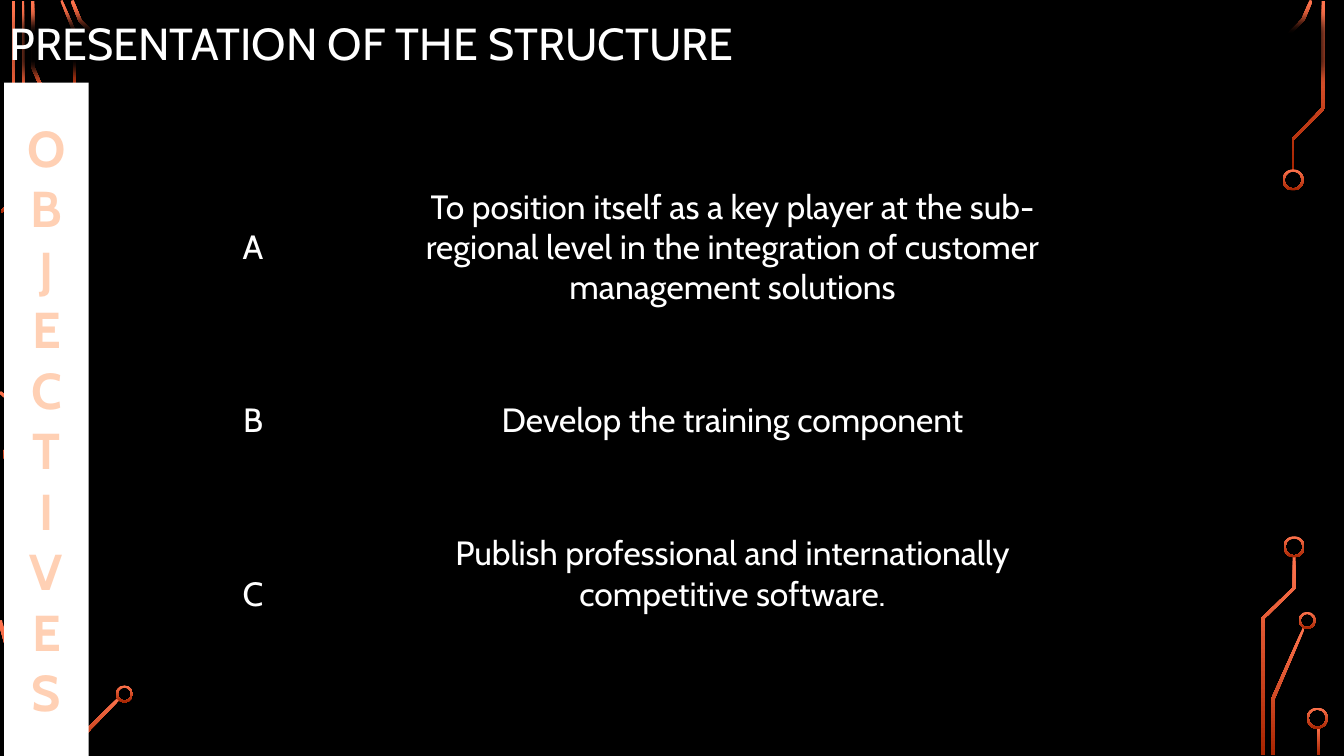
from dataclasses import dataclass

from lxml.etree import SubElement
from pptx import Presentation
from pptx.dml.color import RGBColor
from pptx.enum.shapes import MSO_SHAPE
from pptx.enum.text import MSO_ANCHOR, PP_ALIGN
from pptx.oxml.ns import qn
from pptx.util import Inches, Pt


@dataclass(frozen=True)
class Theme:
    font: str = "Cabin"
    black: RGBColor = RGBColor(0x00, 0x00, 0x00)
    white: RGBColor = RGBColor(0xFF, 0xFF, 0xFF)
    peach: RGBColor = RGBColor(0xFF, 0xD0, 0xB4)
    trace_top: RGBColor = RGBColor(0xFF, 0x74, 0x4E)
    trace_bottom: RGBColor = RGBColor(0xA6, 0x24, 0x00)
    title: Pt = Pt(32)
    banner: Pt = Pt(36)
    body: Pt = Pt(24)


theme = Theme()


def set_text(sp, text, size=theme.body, color=theme.white, bold=False,
             align=PP_ALIGN.CENTER, anchor=MSO_ANCHOR.MIDDLE):
    tf = sp.text_frame
    tf.word_wrap = True
    tf.vertical_anchor = anchor
    p = tf.paragraphs[0]
    p.alignment = align
    r = p.add_run()
    r.text = text
    r.font.name = theme.font
    r.font.size = size
    r.font.bold = bold
    r.font.color.rgb = color
    return p


def paint_trace(sp):
    """Fill a circuit part with the orange gradient, light at the top."""
    sp.shadow.inherit = False
    sp.line.fill.background()
    sp.fill.gradient()
    sp.fill.gradient_angle = 270
    colors = (theme.trace_top, theme.trace_bottom)
    for stop, position, color in zip(sp.fill.gradient_stops, (0, 1), colors):
        stop.position = position
        stop.color.rgb = color


prs = Presentation()
prs.slide_width, prs.slide_height = Inches(13.33), Inches(7.5)
s = prs.slides.add_slide(prs.slide_layouts[6])
s.background.fill.solid()
s.background.fill.fore_color.rgb = theme.black

# Circuit decoration: straight bars, bent traces and ring ends
bars = [(0.12, 0.01, 2.39), (0.15, 5.1, 2.39), (13.06, 7.21, 0.28)]
for left, top, height in bars:
    paint_trace(s.shapes.add_shape(
        MSO_SHAPE.RECTANGLE, Inches(left), Inches(top), Inches(0.03), Inches(height)))

traces = [
    # top left
    [(0.6, 1.99), (0.22, 1.09), (0.22, 0.01), (0.24, 0.01), (0.24, 1.09), (0.62, 1.98)],
    [(0.7, 1.57), (0.31, 0.67), (0.31, 0.01), (0.34, 0.01), (0.34, 0.66), (0.72, 1.56)],
    [(0.76, 1), (0.73, 1), (0.73, 0.33), (0.6, 0.01), (0.62, 0), (0.76, 0.33)],
    [(1.15, 0.58), (0.78, 0.21), (0.7, 0.01), (0.73, 0), (0.81, 0.2), (1.16, 0.56)],
    [(0.02, 2.11), (0.01, 2.09), (0.13, 1.97), (0.15, 1.99)],
    # bottom left
    [(0.15, 4.41), (0.13, 4.41), (0.13, 4.02), (-0.01, 3.9), (0.01, 3.88), (0.15, 4)],
    [(0.08, 7.48), (0.05, 7.48), (0.05, 6.41), (-0.02, 6.16), (0.02, 6.15), (0.08, 6.41)],
    [(0.37, 7.49), (0.34, 7.49), (0.34, 6.82), (0.72, 5.93), (0.75, 5.94), (0.37, 6.83)],
    [(0.65, 7.5), (0.62, 7.49), (0.76, 7.17), (0.76, 6.5), (0.79, 6.5), (0.79, 7.17)],
    [(0.76, 7.49), (0.73, 7.48), (0.81, 7.28), (1.17, 6.92), (1.19, 6.94), (0.84, 7.3)],
    # top right
    [(12.58, 0.56), (12.56, 0.55), (12.91, 0.19), (12.99, 0), (13.02, 0.01), (12.94, 0.2)],
    [(12.83, 1.69), (12.81, 1.69), (12.81, 1.38), (13.11, 1.07),
     (13.11, 0.01), (13.14, 0.01), (13.14, 1.08), (12.83, 1.39)],
    # bottom right
    [(12.64, 7.49), (12.61, 7.49), (12.61, 6.93), (12.92, 6.23), (12.94, 6.24), (12.64, 6.94)],
    [(12.54, 7.49), (12.51, 7.49), (12.51, 6.13), (12.82, 5.83),
     (12.82, 5.52), (12.85, 5.52), (12.85, 5.84), (12.54, 6.14)],
]
for trace in traces:
    points = [(Inches(x), Inches(y)) for x, y in trace]
    builder = s.shapes.build_freeform(*points[0])
    builder.add_line_segments(points[1:], close=True)
    paint_trace(builder.convert_to_shape())

rings = [
    (0.04, 2.38, 0.21), (0.03, 4.4, 0.21), (0.06, 4.9, 0.21), (0.67, 5.74, 0.21),
    (0.67, 6.3, 0.21), (1.15, 6.8, 0.17), (12.72, 1.68, 0.21), (12.88, 6.07, 0.17),
    (12.73, 5.32, 0.21), (12.96, 7.02, 0.21),
]
for left, top, size in rings:
    ring = s.shapes.add_shape(
        MSO_SHAPE.DONUT, Inches(left), Inches(top), Inches(size), Inches(size))
    ring.adjustments[0] = 0.02 / size
    paint_trace(ring)

# Title band, whose soft edge lets the traces show through
title = s.shapes.add_shape(MSO_SHAPE.RECTANGLE, 0, 0, prs.slide_width, Inches(0.92))
title.shadow.inherit = False
title.fill.solid()
title.fill.fore_color.rgb = theme.black
title.line.fill.background()
effects = title._element.spPr.find(qn("a:effectLst"))
SubElement(effects, qn("a:softEdge"), rad=str(Pt(12.5)))
p = set_text(title, "PRESENTATION OF THE STRUCTURE", size=theme.title,
             align=PP_ALIGN.LEFT, anchor=MSO_ANCHOR.TOP)
p.line_spacing = 1.2
p.space_before = Pt(10)

# Banner with stacked letters
banner = s.shapes.add_shape(
    MSO_SHAPE.RECTANGLE, Inches(0.04), Inches(0.82), Inches(0.84), Inches(6.68))
banner.shadow.inherit = False
banner.fill.solid()
banner.fill.fore_color.rgb = theme.white
banner.line.fill.background()
set_text(banner, "OBJECTIVES", size=theme.banner, color=theme.peach, bold=True)
banner.text_frame._txBody.bodyPr.set("vert", "wordArtVert")

# Objectives: a letter and its statement in each row
objectives = [
    ("A", "To position itself as a key player at the sub-regional level "
          "in the integration of customer management solutions"),
    ("B", "Develop the training component"),
    ("C", "Publish professional and internationally competitive software."),
]
columns = [(1.82, 1.38), (3.02, 8.49)]
for row, objective in enumerate(objectives):
    for (left, width), text in zip(columns, objective):
        sp = s.shapes.add_shape(
            MSO_SHAPE.PARALLELOGRAM, Inches(left), Inches(1.7 + 1.72 * row),
            Inches(width), Inches(1.48))
        sp.shadow.inherit = False
        sp.fill.solid()
        sp.fill.fore_color.rgb = theme.black
        sp.line.color.rgb = theme.black
        sp.line.width = Pt(1.25)
        set_text(sp, text)
# The last statement sits one line higher
sp.text_frame.margin_bottom = Inches(0.45)

prs.save("out.pptx")
